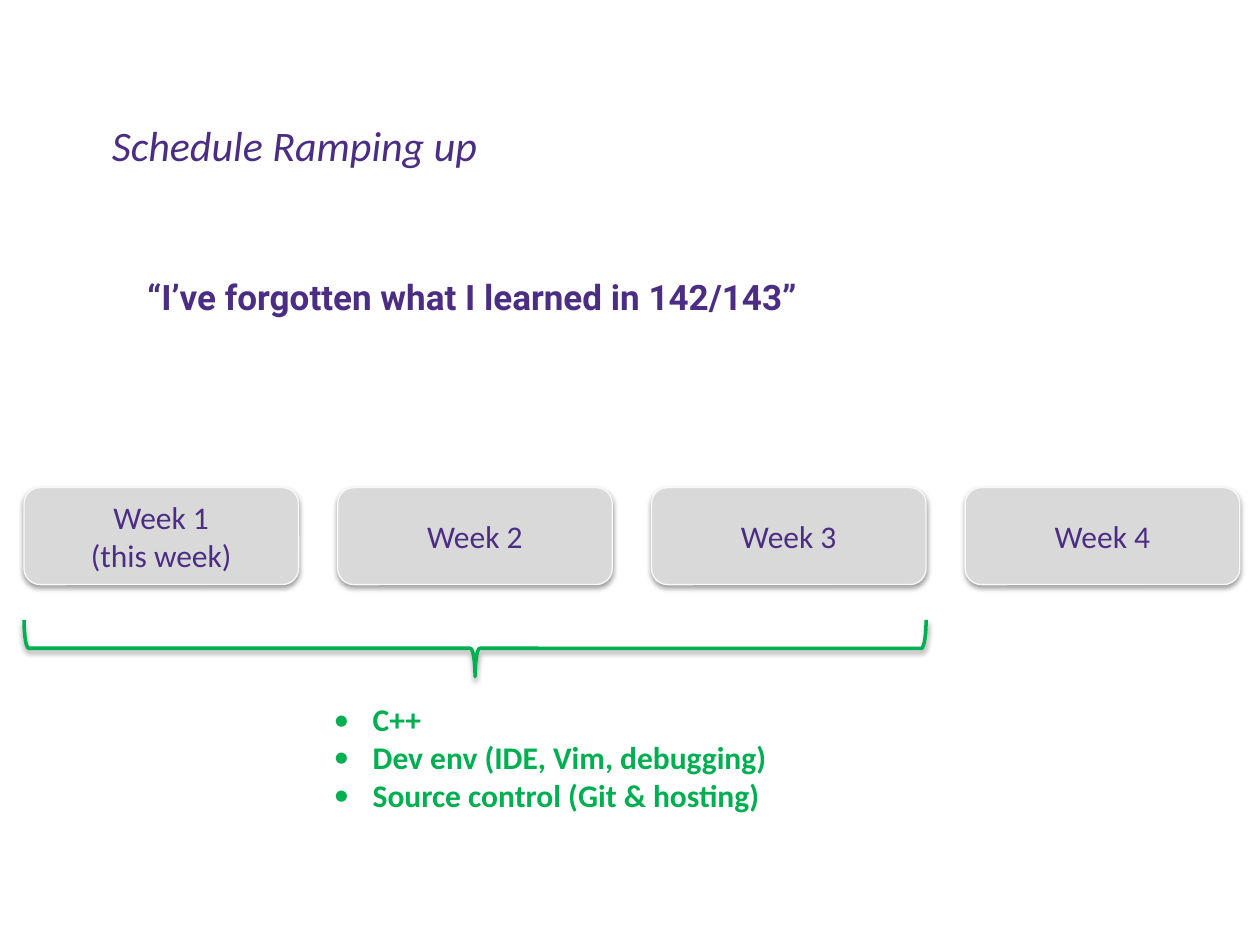
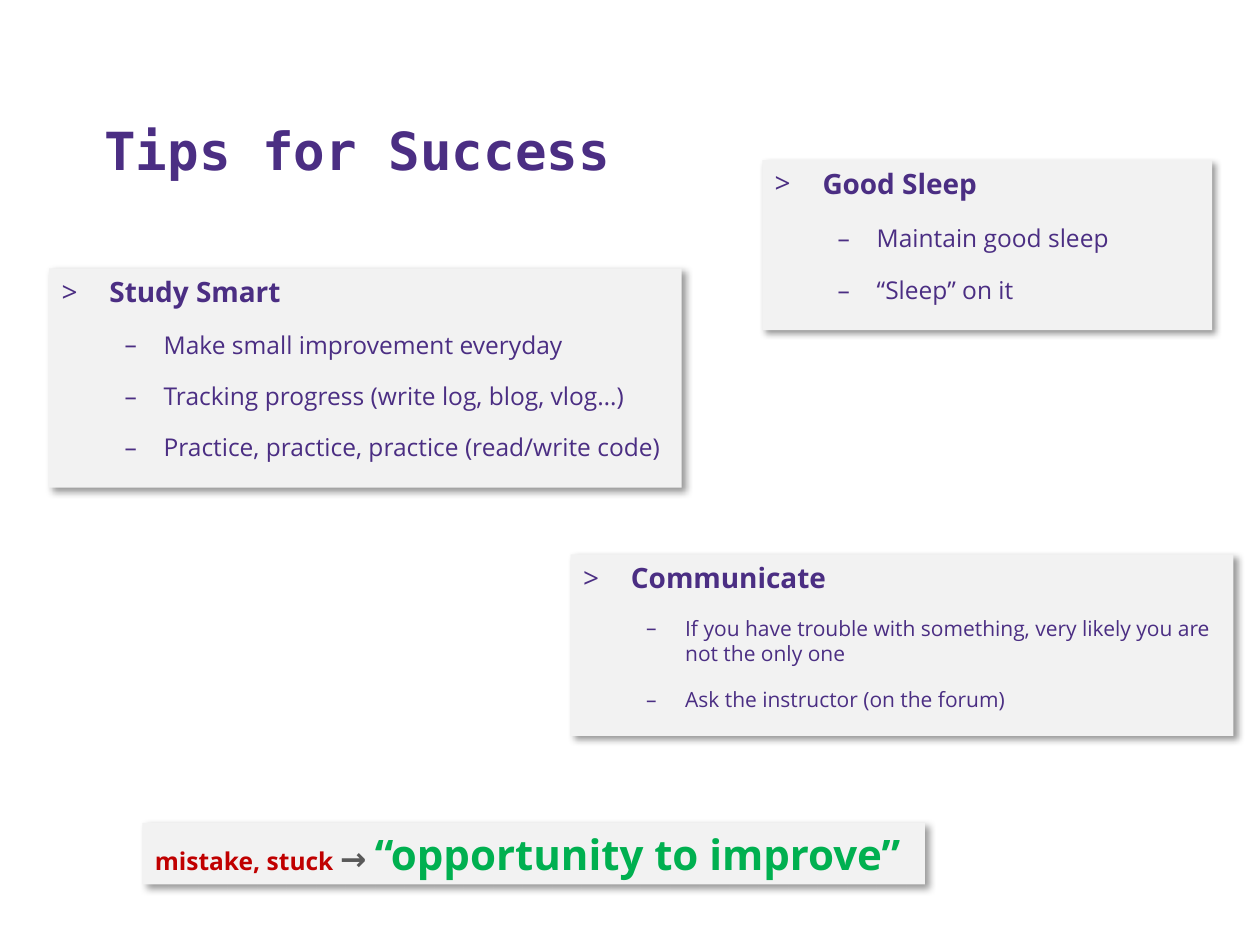
import pptx
import pptx.dml.color
import pptx.enum.shapes
import pptx.enum.text
import pptx.oxml
import pptx.oxml.ns
import pptx.util
from pptx.util import Inches

COLORS = {
    "purple": "4B2E83", "green": "00B050", "red": "C00000", "gray": "595959",
    "week": "D9D9D9", "edge": "F9F9F9", "card": "F2F2F2", "shadow": "000000",
}
SHAPES = pptx.enum.shapes.MSO_SHAPE
ANCHORS = pptx.enum.text.MSO_ANCHOR
ALIGNMENTS = pptx.enum.text.PP_ALIGN
# Opacity in percent, blur and distance in points, direction in degrees
SOFT_SHADOW = (38, 3.1, 1.6, 90)
CARD_SHADOW = (40, 4, 3, 45)


def rgb(name):
    return pptx.dml.color.RGBColor.from_string(COLORS[name])


def set_font(font, name, size, color, bold=False, italic=False):
    font.name = name
    font.size = pptx.util.Pt(size)
    font.color.rgb = rgb(color)
    font.bold = bold
    font.italic = italic


def set_bullet(paragraph, character, font, margin, hanging):
    """Give the paragraph a bullet; margin and hanging are in inches."""
    properties = paragraph._p.get_or_add_pPr()
    properties.set("marL", str(Inches(margin)))
    properties.set("indent", str(-Inches(hanging)))
    namespace = pptx.oxml.ns.nsdecls("a")
    for element in (f'<a:buFont {namespace} typeface="{font}"/>',
                    f'<a:buChar {namespace} char="{character}"/>'):
        properties.append(pptx.oxml.parse_xml(element))


def add_shadow(shape, opacity, blur, distance, direction):
    shape.shadow.inherit = False
    effects = shape._element.spPr.find(pptx.oxml.ns.qn("a:effectLst"))
    effects.append(pptx.oxml.parse_xml(
        f'<a:outerShdw {pptx.oxml.ns.nsdecls("a")} blurRad="{pptx.util.Pt(blur)}"'
        f' dist="{pptx.util.Pt(distance)}" dir="{direction * 60000}"'
        f' algn="tl" rotWithShape="0"><a:srgbClr val="{COLORS["shadow"]}">'
        f'<a:alpha val="{opacity * 1000}"/></a:srgbClr></a:outerShdw>'))


def add_shape(slide, kind, box, shadow, fill=None, line=None, line_width=0.75):
    shape = slide.shapes.add_shape(kind, *map(Inches, box))
    if fill:
        shape.fill.solid()
        shape.fill.fore_color.rgb = rgb(fill)
    else:
        shape.fill.background()
    if line:
        shape.line.color.rgb = rgb(line)
        shape.line.width = pptx.util.Pt(line_width)
    else:
        shape.line.fill.background()
    add_shadow(shape, *shadow)
    return shape


def write_lines(frame, lines):
    """Fill the frame with one paragraph per line and return the paragraphs."""
    frame.word_wrap = True
    paragraphs = []
    for index, line in enumerate(lines):
        paragraph = frame.add_paragraph() if index else frame.paragraphs[0]
        paragraph.alignment = ALIGNMENTS.LEFT
        paragraph.add_run().text = line
        paragraphs.append(paragraph)
    return paragraphs


def add_label(slide, box, text, font, size, bold=False, italic=False,
              anchor=ANCHORS.TOP):
    frame = slide.shapes.add_textbox(*map(Inches, box)).text_frame
    frame.vertical_anchor = anchor
    paragraph, = write_lines(frame, [text])
    set_font(paragraph.font, font, size, "purple", bold, italic)


def add_weeks(slide, box, labels, gap):
    """Lay out equal week boxes with equal gaps across the box."""
    left, top, width, height = box
    week_width = (width - gap * (len(labels) - 1)) / len(labels)
    for index, label in enumerate(labels):
        week_left = left + index * (week_width + gap)
        week = add_shape(slide, SHAPES.ROUNDED_RECTANGLE,
                         (week_left, top, week_width, height),
                         SOFT_SHADOW, "week", "edge")
        week.text_frame.vertical_anchor = ANCHORS.MIDDLE
        for paragraph in write_lines(week.text_frame, label.split("\n")):
            paragraph.alignment = ALIGNMENTS.CENTER
            set_font(paragraph.font, "Calibri", 18, "purple")


def add_braced_topics(slide, box, topics):
    """Draw a brace across the top of the box and list the topics below it."""
    left, top, width, height = box
    depth = 0.45
    brace_box = (left + (width - depth) / 2, top + (depth - width) / 2, depth, width)
    brace = add_shape(slide, SHAPES.RIGHT_BRACE, brace_box, SOFT_SHADOW,
                      line="green", line_width=2)
    brace.rotation = 90
    topics_box = (left + 2.36, top + 0.59, 4, height - 0.59)
    frame = slide.shapes.add_textbox(*map(Inches, topics_box)).text_frame
    for paragraph in write_lines(frame, topics):
        set_bullet(paragraph, "•", "Calibri", 0.31, 0.31)
        set_font(paragraph.font, "Calibri", 18, "green", bold=True)


def add_tip_card(slide, box, heading, tips, size=14, gap=12.4):
    """Add a card with a bold heading; gap is the space before tips in points."""
    card = add_shape(slide, SHAPES.RECTANGLE, box, CARD_SHADOW, "card")
    card.text_frame.vertical_anchor = ANCHORS.TOP
    title, *items = write_lines(card.text_frame, [heading, *tips])
    set_bullet(title, ">", "Open Sans", 0.38, 0.38)
    set_font(title.font, "Open Sans", 16, "purple", bold=True)
    for item in items:
        item.space_before = pptx.util.Pt(gap)
        set_bullet(item, "–", "Open Sans", 0.81, 0.31)
        set_font(item.font, "Open Sans", size, "purple")


def add_motto(slide, box, parts):
    banner = add_shape(slide, SHAPES.RECTANGLE, box, CARD_SHADOW, "card")
    banner.text_frame.vertical_anchor = ANCHORS.TOP
    paragraph, = write_lines(banner.text_frame, [parts[0][0]])
    for _ in parts[1:]:
        paragraph.add_run()
    for run, (text, size, color) in zip(paragraph.runs, parts):
        run.text = text
        set_font(run.font, "Open Sans", size, color, bold=True)


def build_schedule(slide):
    add_weeks(slide, (0.19, 3.87, 9.65, 0.77),
              ["Week 1\n(this week)", "Week 2", "Week 3", "Week 4"], gap=0.31)
    add_braced_topics(slide, (0.19, 4.92, 7.16, 1.6),
                      ["C++", "Dev env (IDE, Vim, debugging)",
                       "Source control (Git & hosting)"])
    add_label(slide, (0.79, 0.9, 3.4, 0.5), "Schedule Ramping up",
              "Calibri", 24, italic=True)
    add_label(slide, (1.07, 2.14, 6.48, 0.44),
              "“I’ve forgotten what I learned in 142/143”", "Roboto", 20, bold=True)


def build_tips(slide):
    add_label(slide, (0.73, 0.41, 8.95, 1.08), "Tips for Success",
              "DejaVu Sans Mono", 30, bold=True, anchor=ANCHORS.BOTTOM)
    add_tip_card(slide, (0.39, 2.13, 5.02, 1.74), "Study Smart",
                 ["Make small improvement everyday",
                  "Tracking progress (write log, blog, vlog…)",
                  "Practice, practice, practice (read/write code)"])
    add_tip_card(slide, (4.53, 4.4, 5.26, 1.44), "Communicate",
                 ["If you have trouble with something, very likely you are "
                  "not the only one",
                  "Ask the instructor (on the forum)"],
                 size=12, gap=12)
    add_tip_card(slide, (6.05, 1.27, 3.57, 1.35), "Good Sleep",
                 ["Maintain good sleep", "“Sleep” on it"], gap=13.2)
    add_motto(slide, (1.13, 6.53, 6.21, 0.49),
              [("mistake, stuck ", 14, "red"), ("→ ", 18, "gray"),
               ("“opportunity to improve”", 24, "green")])


def main():
    presentation = pptx.Presentation()
    presentation.slide_width = Inches(10)
    presentation.slide_height = Inches(7.5)
    blank_layout = presentation.slide_layouts[6]
    for build in (build_schedule, build_tips):
        build(presentation.slides.add_slide(blank_layout))
    presentation.save("out.pptx")


if __name__ == "__main__":
    main()
